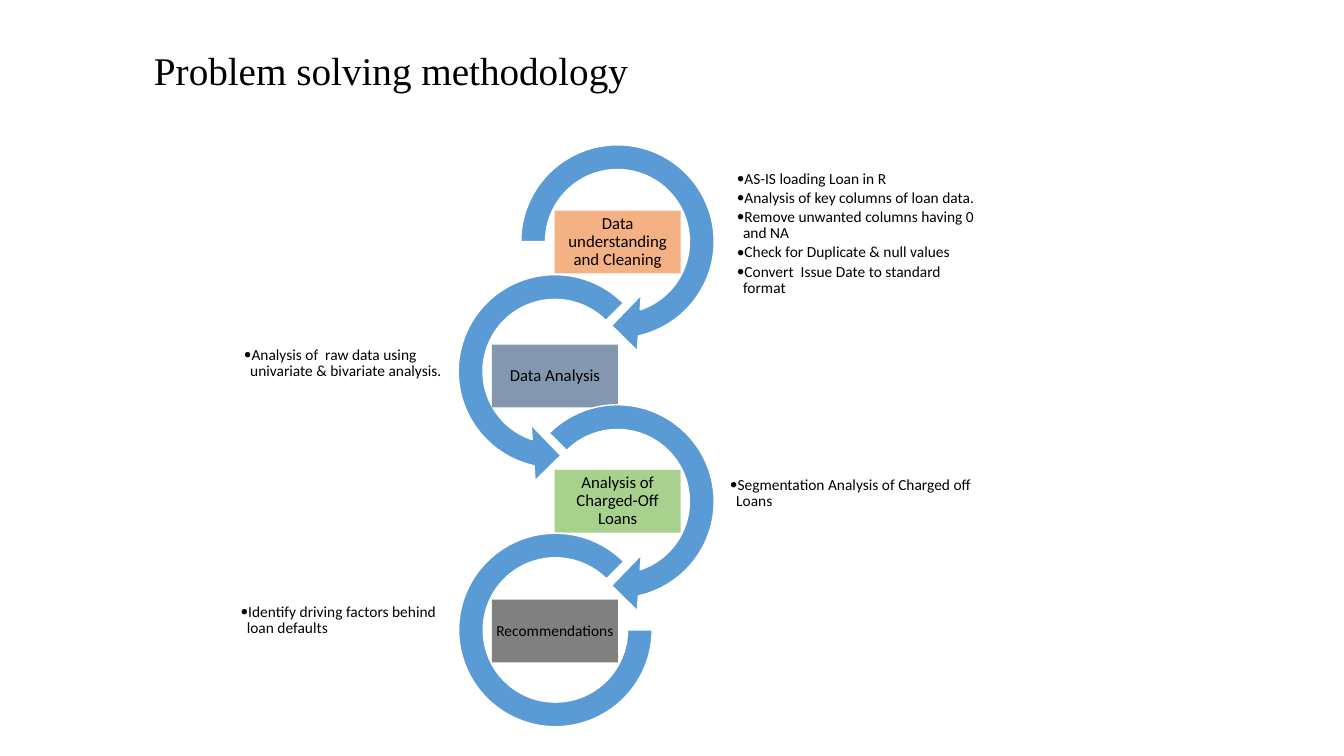
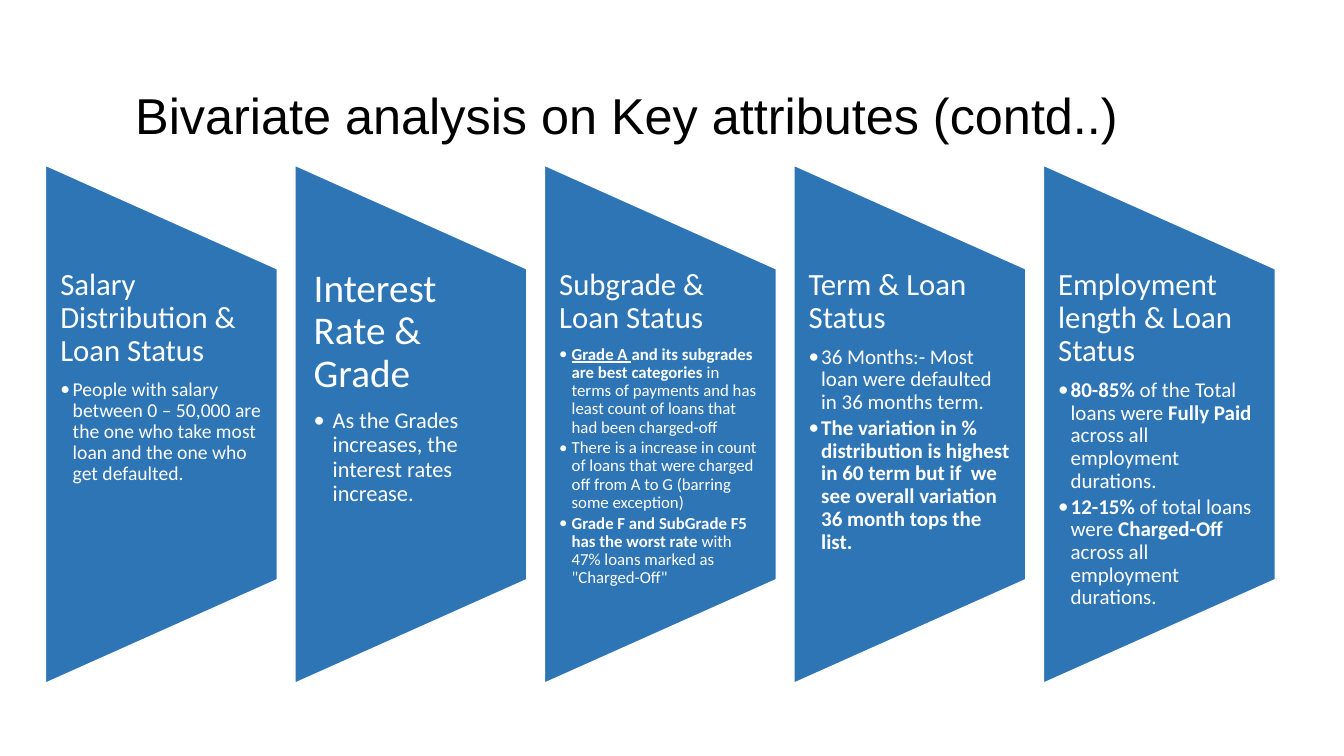
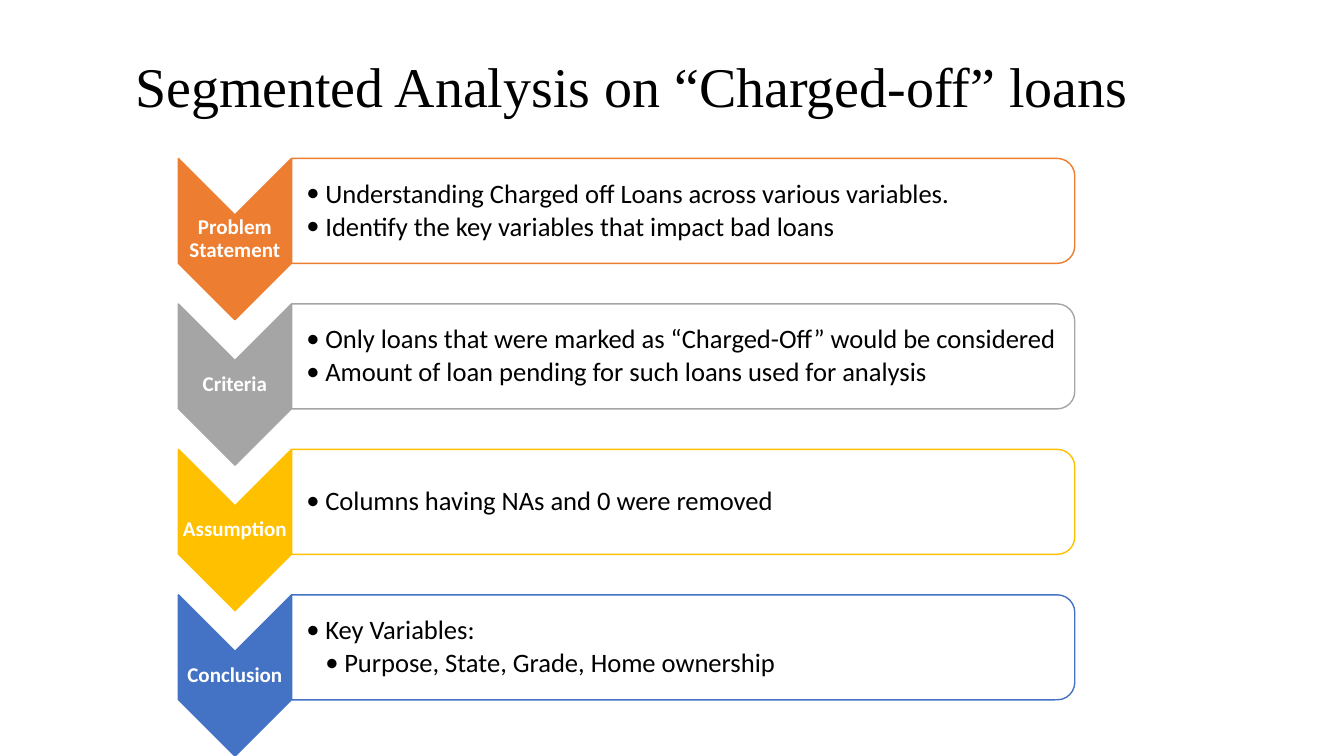
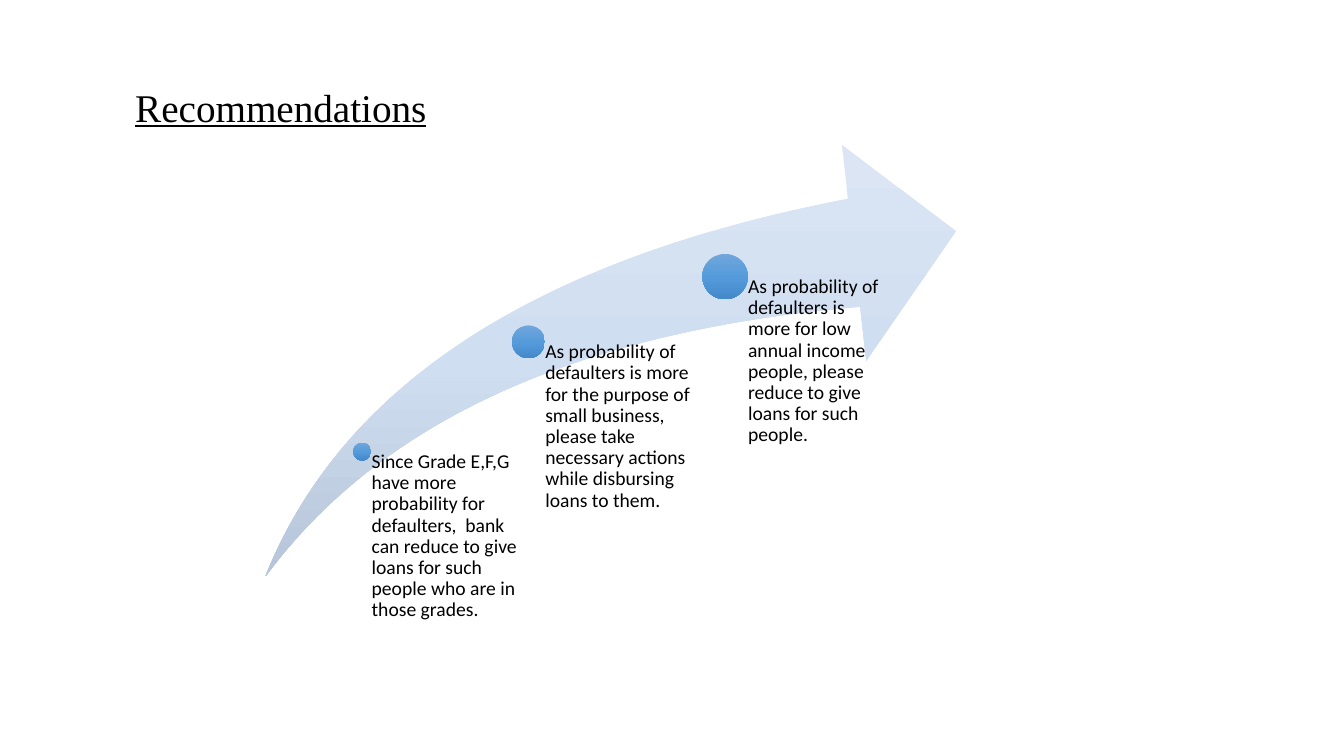
"""Build four slides on loan default analysis."""
from copy import deepcopy
from dataclasses import dataclass

from lxml.etree import SubElement
from pptx import Presentation
from pptx.dml.color import RGBColor
from pptx.enum.shapes import MSO_SHAPE
from pptx.enum.text import MSO_ANCHOR, PP_ALIGN
from pptx.oxml.ns import qn
from pptx.shapes.autoshape import Shape
from pptx.slide import Slide
from pptx.util import Pt


@dataclass(frozen=True)
class Theme:
    serif: str = "Times New Roman"
    sans: str = "Arial"
    body: str = "Calibri"
    black: str = "000000"
    white: str = "FFFFFF"
    ring: str = "5B9BD5"
    panel: str = "2E75B6"
    peach: str = "F4B183"
    slate: str = "8497B0"
    green: str = "A9D18E"
    dark_grey: str = "808080"
    orange: str = "ED7D31"
    grey: str = "A5A5A5"
    gold: str = "FFC000"
    blue: str = "4472C4"
    swoosh: tuple[str, ...] = ("DBE5F3", "D0DEF1", "B6C5D9")
    dot: tuple[str, ...] = ("71A6DB", "559BDB", "448ACA")
    title_large: int = 40
    title_medium: int = 36
    title_small: int = 28
    note: int = 11
    label: int = 12
    chevron: int = 15
    card: int = 19
    advice: int = 14
    line_spacing: float = 0.9
    bullet_gap: float = 0.16
    text_gap: float = 0.35
    panel_inset: float = 0.48


T = Theme()


@dataclass(frozen=True)
class Box:
    x: float
    y: float
    w: float
    h: float

    def turned(self) -> "Box":
        return Box(self.x + (self.w - self.h) / 2, self.y + (self.h - self.w) / 2, self.h, self.w)

    def pts(self) -> tuple[Pt, ...]:
        return Pt(self.x), Pt(self.y), Pt(self.w), Pt(self.h)


@dataclass(frozen=True)
class Span:
    text: str
    bold: bool = False
    underline: bool = False
    size: float | None = None


@dataclass(frozen=True)
class Para:
    spans: tuple[Span, ...]
    size: float
    level: int = 0
    indent: float = 0


@dataclass(frozen=True)
class Step:
    kind: MSO_SHAPE
    ring: Box
    adj: tuple[float, ...]
    note_box: Box
    notes: tuple[str, ...]
    label_x: float
    label_y: float
    label: str
    color: str
    size: int = T.label


@dataclass(frozen=True)
class Panel:
    heading: str
    heading_size: int
    bullet_size: int
    bullets: tuple[tuple[Span, ...], ...]
    indent: float = 8.9


@dataclass(frozen=True)
class Row:
    label: str
    color: str
    bullets: tuple[tuple[str, int], ...]


@dataclass(frozen=True)
class Advice:
    x: float
    y: float
    diameter: float
    width: float
    text: str


RIGHT_X, LEFT_X = 396.2, 351.4
STEPS = (
    Step(MSO_SHAPE.CIRCULAR_ARROW, Box(360.8, 92.2, 160.6, 160.6), (0.11, 11.423, 45, 108, 0.125),
         Box(525.6, 104.4, 175, 125.3),
         ("AS-IS loading Loan in R", "Analysis of key columns of loan data.",
          "Remove unwanted columns having 0 and NA", "Check for Duplicate & null values",
          "Convert  Issue Date to standard format"),
         RIGHT_X, 150.5, "Data understanding and Cleaning", T.peach),
    Step(MSO_SHAPE.LEFT_CIRCULAR_ARROW, Box(316.1, 185, 160.6, 160.6), (0.11, 11.423, 63, 189, 0.125),
         Box(173.5, 196.6, 146.2, 126),
         ("Analysis of  raw data using univariate & bivariate analysis.",),
         LEFT_X, 246.2, "Data Analysis", T.slate),
    Step(MSO_SHAPE.CIRCULAR_ARROW, Box(360.8, 277.9, 160.6, 160.6), (0.11, 11.423, 45, 135, 0.125),
         Box(520.6, 301, 193, 103), ("Segmentation Analysis of Charged off Loans",),
         RIGHT_X, 335.7, "Analysis of Charged-Off Loans", T.green),
    Step(MSO_SHAPE.BLOCK_ARC, Box(327.6, 380.9, 138.2, 138.2), (0, 189, 0.127),
         Box(171.1, 385.9, 152.6, 114.5), ("Identify driving factors behind loan defaults",),
         LEFT_X, 428.4, "Recommendations", T.dark_grey, T.note),
)
PANELS = (
    Panel("Salary Distribution & Loan Status", 22, 14, (
        (Span("People with salary between 0 – 50,000 are the one who take most loan "
              "and the one who get defaulted."),),)),
    Panel("Interest Rate & Grade", 28, 16, (
        (Span("As the Grades increases, the interest rates increase."),),), 13.5),
    Panel("Subgrade & Loan Status", 22, 12, (
        (Span("Grade A ", True, True), Span("and its subgrades are best categories ", True),
         Span("in terms of payments and has least count of loans that had been charged-off")),
        (Span("There is a increase in count of loans that were charged off from A to G "
              "(barring some exception)"),),
        (Span("Grade F and SubGrade F5 has the worst rate ", True),
         Span('with 47% loans marked as "Charged-Off"')))),
    Panel("Term & Loan Status", 22, 15, (
        (Span("36 Months:- Most loan were defaulted in 36 months term."),),
        (Span("The variation in % distribution is highest in 60 term but if  we see "
              "overall variation 36 month tops the list.", True),))),
    Panel("Employment length & Loan Status", 22, 15, (
        (Span("80-85%", True), Span(" of the Total loans were "), Span("Fully Paid ", True),
         Span("across all employment durations.")),
        (Span("12-15%", True), Span(" of total loans were "), Span("Charged-Off", True),
         Span(" across all employment durations.")))),
)
ROWS = (
    Row("Problem Statement", T.orange, (
        ("Understanding Charged off Loans across various variables.", 1),
        ("Identify the key variables that impact bad loans", 1))),
    Row("Criteria", T.grey, (
        ("Only loans that were marked as “Charged-Off” would be considered", 1),
        ("Amount of loan pending for such loans used for analysis", 1))),
    Row("Assumption", T.gold, (("Columns having NAs and 0 were removed", 1),)),
    Row("Conclusion", T.blue, (
        ("Key Variables:", 1), ("Purpose, State, Grade, Home ownership", 2))),
)
ADVICE = (
    Advice(252.2, 316.1, 13, 115.2,
           "Since Grade E,F,G  have more probability for defaulters,  bank can reduce to give "
           "loans for such people who are in those grades."),
    Advice(365.7, 232.4, 23.5, 118.1,
           "As probability of defaulters is more for the purpose of small business, please take "
           "necessary actions while disbursing loans to them."),
    Advice(501.7, 181.4, 32.4, 118.1,
           "As probability of defaulters is more for low annual income people, please reduce to "
           "give loans for such people."),
)


def write(sp: Shape, paras: list[Para], color: str = T.black, font: str = T.body,
          insets: tuple[float, float, float, float] = (0.7, 0.7, 0.7, 0.7),
          anchor: MSO_ANCHOR = MSO_ANCHOR.MIDDLE, align: PP_ALIGN = PP_ALIGN.LEFT) -> None:
    """Fill a shape with formatted paragraphs."""
    tf = sp.text_frame
    tf.word_wrap = True
    tf.vertical_anchor = anchor
    tf.margin_left, tf.margin_top, tf.margin_right, tf.margin_bottom = map(Pt, insets)
    for i, para in enumerate(paras):
        p = tf.add_paragraph() if i else tf.paragraphs[0]
        p.alignment = align
        p.line_spacing = T.line_spacing
        p.level = para.level
        p.space_after = Pt(para.size * (T.bullet_gap if para.level else T.text_gap))
        if para.level:
            pPr = p._p.get_or_add_pPr()
            pPr.set("marL", str(Pt(para.indent * para.level)))
            pPr.set("indent", str(-Pt(para.indent)))
            SubElement(pPr, qn("a:buFont")).set("typeface", font)
            SubElement(pPr, qn("a:buChar")).set("char", "•")
        for span in para.spans:
            r = p.add_run()
            r.text = span.text
            r.font.name = font
            r.font.size = Pt(span.size or para.size)
            r.font.bold = span.bold
            r.font.underline = span.underline
            r.font.color.rgb = RGBColor.from_string(color)


def add_text(s: Slide, box: Box, paras: list[Para], **style) -> None:
    """Add a text box."""
    write(s.shapes.add_textbox(*box.pts()), paras, **style)


def add_title(s: Slide, box: Box, size: int, *spans: Span, font: str = T.serif) -> None:
    """Add a slide title."""
    add_text(s, box, [Para(spans, size)], font=font, insets=(7.2, 3.6, 7.2, 3.6))


def add_shape(s: Slide, kind: MSO_SHAPE, box: Box, fill: str | tuple[str, ...],
              line: str | None = None, rotation: int = 0, adj: tuple[float, ...] = ()) -> Shape:
    """Add a preset shape; a box turned by a quarter is given as it appears."""
    sp = s.shapes.add_shape(kind, *(box.turned() if rotation else box).pts())
    sp.rotation = rotation
    sp.shadow.inherit = False
    for i, value in enumerate(adj):
        sp.adjustments[i] = value
    if isinstance(fill, str):
        sp.fill.solid()
        sp.fill.fore_color.rgb = RGBColor.from_string(fill)
    else:
        fill_gradient(sp, fill)
    if line:
        sp.line.color.rgb = RGBColor.from_string(line)
        sp.line.width = Pt(1)
    else:
        sp.line.fill.background()
    return sp


def fill_gradient(sp: Shape, colors: tuple[str, ...]) -> None:
    """Fill a shape from top to bottom with three evenly spaced colours."""
    sp.fill.gradient()
    sp.fill.gradient_angle = 270
    stops = next(sp._element.iter(qn("a:gsLst")))
    stops.insert(1, deepcopy(stops[0]))
    for i, (stop, color) in enumerate(zip(sp.fill.gradient_stops, colors)):
        stop.position = i / 2
        stop.color.rgb = RGBColor.from_string(color)


def methodology(s: Slide) -> None:
    """Draw the chain of circular steps."""
    add_title(s, Box(92.9, 14.4, 733.7, 67.7), T.title_small,
              Span(" ", bold=True, size=T.title_large), Span("Problem solving methodology"))
    for step in STEPS:
        add_shape(s, step.kind, step.ring, T.ring, T.white, adj=step.adj)
        add_text(s, step.note_box, [Para((Span(n),), T.note, 1, 4.5) for n in step.notes])
        sp = add_shape(s, MSO_SHAPE.RECTANGLE, Box(step.label_x, step.label_y, 90, 44.8), step.color)
        write(sp, [Para((Span(step.label),), step.size)], align=PP_ALIGN.CENTER)


def bivariate(s: Slide) -> None:
    """Draw the row of attribute panels."""
    for i, panel in enumerate(PANELS):
        x = 32.5 + i * 178.2
        add_shape(s, MSO_SHAPE.FLOWCHART_MANUAL_OPERATION, Box(x, 118, 165.6, 370),
                  T.panel, T.white, 270)
        paras = [Para((Span(panel.heading),), panel.heading_size)]
        paras += [Para(b, panel.bullet_size, 1, panel.indent) for b in panel.bullets]
        inset = panel.heading_size * T.panel_inset
        add_text(s, Box(x, 191.9, 165.6, 222.5), paras, color=T.white,
                 insets=(inset, 0, inset, 0), anchor=MSO_ANCHOR.TOP)
    add_title(s, Box(89.5, 50.4, 733.7, 67.7), T.title_medium,
              Span("Bivariate analysis on Key attributes (contd..)"), font=T.sans)


def segmented(s: Slide) -> None:
    """Draw the chevron list."""
    add_title(s, Box(89.5, 30.2, 733.7, 67.7), T.title_large,
              Span("Segmented Analysis on “Charged-off” loans"))
    for i, row in enumerate(ROWS):
        y = 113.2 + i * 103.9
        add_shape(s, MSO_SHAPE.CHEVRON, Box(127.4, y, 80.8, 115.2), row.color, row.color, 90)
        add_text(s, Box(127.4, y + 40.4, 80.8, 34.6),
                 [Para((Span(row.label, True),), T.chevron)],
                 color=T.white, align=PP_ALIGN.CENTER)
        add_shape(s, MSO_SHAPE.ROUND_2_SAME_RECTANGLE, Box(208.3, y, 559.4, 75),
                  T.white, row.color, 90)
        add_text(s, Box(208.3, y + 3.7, 555.8, 67.7),
                 [Para((Span(text),), T.card, level, 13.5) for text, level in row.bullets],
                 insets=(10.6, 0.7, 0.7, 0.7))


def recommendations(s: Slide) -> None:
    """Draw the rising arrow with its advice."""
    add_shape(s, MSO_SHAPE.SWOOSH_ARROW, Box(189.6, 103.5, 493.2, 308.2), T.swoosh, adj=(0.25, 0.25))
    for a in ADVICE:
        radius = a.diameter / 2
        add_shape(s, MSO_SHAPE.OVAL, Box(a.x, a.y, a.diameter, a.diameter), T.dot)
        top = a.y + radius
        add_text(s, Box(a.x + radius, top, a.width, 411.8 - top),
                 [Para((Span(a.text),), T.advice)],
                 insets=(radius + 0.3, 0, 0, 0), anchor=MSO_ANCHOR.TOP)
    add_title(s, Box(89.5, 50.4, 733.7, 55.4), T.title_small,
              Span("Recommendations", underline=True))


def main() -> None:
    """Build and save the presentation."""
    prs = Presentation()
    prs.slide_width, prs.slide_height = Pt(960), Pt(540)
    for draw in (methodology, bivariate, segmented, recommendations):
        draw(prs.slides.add_slide(prs.slide_layouts[6]))
    prs.save("out.pptx")


if __name__ == "__main__":
    main()
